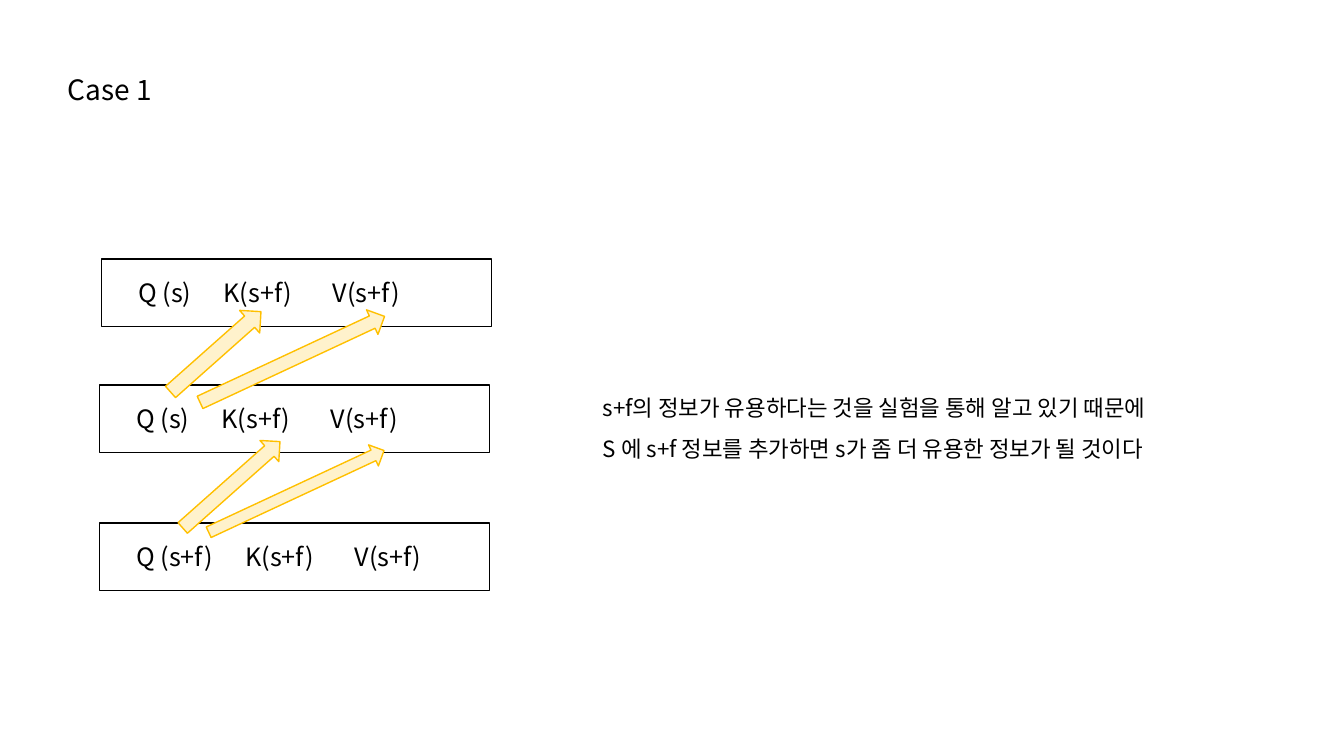
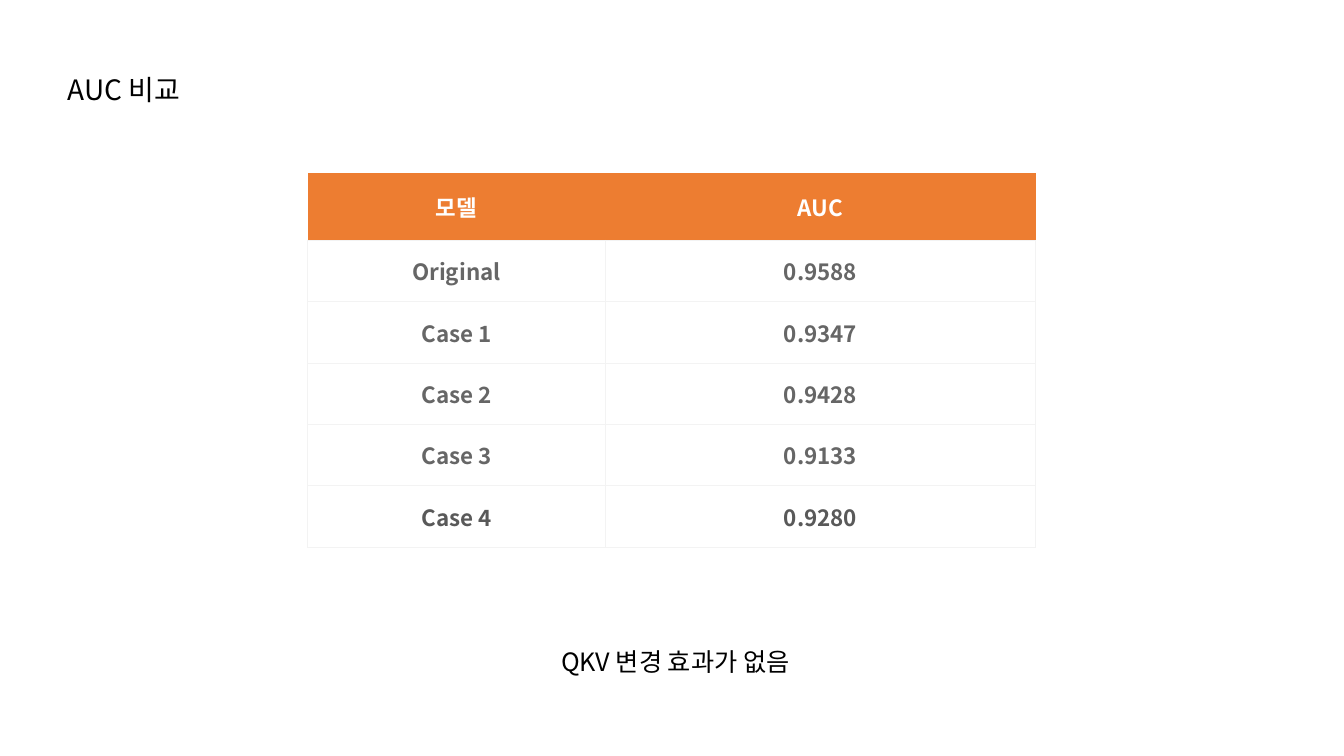
from lxml.etree import SubElement
from pptx import Presentation
from pptx.dml.color import RGBColor
from pptx.enum.shapes import MSO_SHAPE as SHAPE
from pptx.enum.text import MSO_ANCHOR as ANCHOR, MSO_AUTO_SIZE as AUTO, PP_ALIGN as ALIGN
from pptx.oxml.ns import qn
from pptx.util import Pt

FONT = "Noto Sans CJK KR"
BLACK = RGBColor(0x00, 0x00, 0x00)
WHITE = RGBColor(0xFF, 0xFF, 0xFF)
GRAY = RGBColor(0x66, 0x66, 0x66)
DARK_GRAY = RGBColor(0x59, 0x59, 0x59)
ORANGE = RGBColor(0xED, 0x7D, 0x31)
GOLD = RGBColor(0xFF, 0xC0, 0x00)
CREAM = RGBColor(0xFF, 0xF2, 0xCC)
BORDER = RGBColor(0xF3, 0xF3, 0xF3)

TITLE_BOX = (41, 48.2, 345, 31.7)
TITLE_ONLY = 5
FRAME = {"word_wrap": True, "auto_size": AUTO.NONE, "vertical_anchor": ANCHOR.TOP}


def apply(obj, formats):
    """Set each attribute named in formats on obj."""
    for name, value in formats.items():
        setattr(obj, name, value)


def points(box):
    """Turn a box of numbers into lengths."""
    return [Pt(n) for n in box]


def write(tf, lines, size, color=BLACK, bold=False, **para):
    """Fill a text frame with one formatted paragraph per line."""
    for i, line in enumerate(lines):
        p = tf.add_paragraph() if i else tf.paragraphs[0]
        apply(p, {"alignment": ALIGN.LEFT, **para})
        r = p.add_run()
        r.text = line
        apply(r.font, {"size": Pt(size), "name": FONT, "bold": bold})
        r.font.color.rgb = color
        SubElement(r.font._element, qn("a:ea"), typeface=FONT)


def add_tabs(p, stops):
    """Give a paragraph left tab stops, in points."""
    tabs = SubElement(p._p.get_or_add_pPr(), qn("a:tabLst"))
    for stop in stops:
        SubElement(tabs, qn("a:tab"), pos=str(Pt(stop)), algn="l")


def add_slide(prs, title):
    """Add a slide with the shared title style."""
    s = prs.slides.add_slide(prs.slide_layouts[TITLE_ONLY])
    sp = s.shapes.title
    apply(sp, dict(zip(("left", "top", "width", "height"), points(TITLE_BOX))))
    apply(sp.text_frame, FRAME)
    write(sp.text_frame, [title], 20)
    return s


def add_note(s, box, lines, size, **para):
    """Add a plain text box."""
    tf = s.shapes.add_textbox(*points(box)).text_frame
    apply(tf, FRAME)
    write(tf, lines, size, **para)


def add_outlined(s, kind, box, line, fill=None):
    """Add a preset shape with a 1 pt outline and an optional fill."""
    sp = s.shapes.add_shape(kind, *points(box))
    sp.shadow.inherit = False
    if fill is None:
        sp.fill.background()
    else:
        sp.fill.solid()
        sp.fill.fore_color.rgb = fill
    sp.line.color.rgb = line
    sp.line.width = Pt(1)
    return sp


def add_layer(s, box, query, stops):
    """Add one attention layer holding its query, key and value."""
    sp = add_outlined(s, SHAPE.RECTANGLE, box, BLACK)
    tf = sp.text_frame
    apply(tf, {**FRAME, "vertical_anchor": ANCHOR.MIDDLE, "margin_left": Pt(26)})
    write(tf, [f"{query}\tK(s+f)\tV(s+f)"], 18)
    add_tabs(tf.paragraphs[0], stops)


def add_layer_stack(s, box):
    """Stack three layers in the box and join them with upward arrows."""
    left, top, width, height = box
    layer_h = 48.2
    short, wide = (61, 139), (78, 156)
    layers = [(0, height - layer_h, "Q (s+f)", wide),
              (0, 90, "Q (s)", short),
              (1.4, 0, "Q (s)", short)]
    for dx, dy, query, stops in layers:
        add_layer(s, (left + dx, top + dy, width, layer_h), query, stops)

    to_key, to_value = 318.4, 335
    arrows = [(47.5, 151.2, 92.9, 20.2, to_key),
              (71.3, 157.7, 138.2, 16.6, to_value),
              (39.6, 55.5, 86.4, 21.6, to_key),
              (64.8, 62, 145.4, 19.4, to_value)]
    for dx, dy, w, h, angle in arrows:
        arrow = add_outlined(s, SHAPE.RIGHT_ARROW, (left + dx, top + dy, w, h), GOLD, CREAM)
        arrow.rotation = angle


def set_borders(cell, sides):
    """Draw the named sides of a cell and clear the others."""
    tc_pr = cell._tc.get_or_add_tcPr()
    for side in "LRTB":
        ln = SubElement(tc_pr, qn(f"a:ln{side}"), w=str(Pt(0.75)))
        if side in sides:
            fill = SubElement(ln, qn("a:solidFill"))
            SubElement(fill, qn("a:srgbClr"), val=str(BORDER))
        else:
            SubElement(ln, qn("a:noFill"))


def add_score_table(s, box, rows, col_widths, header_h):
    """Add a table with an orange header and equal body rows."""
    table = s.shapes.add_table(len(rows), len(col_widths), *points(box)).table
    table.horz_banding = False
    for col, w in zip(table.columns, col_widths):
        col.width = Pt(w)
    body_h = (box[3] - header_h) / (len(rows) - 1)
    margins = {f"margin_{side}": Pt(7.2) for side in ("left", "right", "top", "bottom")}
    last = len(rows) - 1
    for i, row in enumerate(rows):
        table.rows[i].height = Pt(body_h if i else header_h)
        color = WHITE if i == 0 else DARK_GRAY if i == last else GRAY
        for j, text in enumerate(row):
            cell = table.cell(i, j)
            set_borders(cell, "LRTB" if i else "B")
            cell.fill.solid()
            cell.fill.fore_color.rgb = WHITE if i else ORANGE
            apply(cell, {**margins, "vertical_anchor": ANCHOR.MIDDLE})
            write(cell.text_frame, [text], 16, color, True, alignment=ALIGN.CENTER)


def case_slide(prs):
    """Build the slide that explains case 1."""
    s = add_slide(prs, "Case 1")
    add_layer_stack(s, (71.3, 185, 278.6, 236.9))
    add_note(s, (423.4, 268.6, 536.4, 61.9),
             ["s+f의 정보가 유용하다는 것을 실험을 통해 알고 있기 때문에",
              "S 에 s+f 정보를 추가하면 s가 좀 더 유용한 정보가 될 것이다"],
             16, line_spacing=1.5)


def auc_slide(prs):
    """Build the slide that compares AUC scores."""
    s = add_slide(prs, "AUC 비교")
    rows = [("모델", "AUC"), ("Original", "0.9588"), ("Case 1", "0.9347"),
            ("Case 2", "0.9428"), ("Case 3", "0.9133"), ("Case 4", "0.9280")]
    add_score_table(s, (219.8, 123.6, 520, 267.4), rows, (212.5, 307.5), 48)
    add_note(s, (393.8, 457.9, 321.8, 28.8), ["QKV 변경 효과가 없음"], 18)


prs = Presentation()
prs.slide_width, prs.slide_height = Pt(960), Pt(540)
case_slide(prs)
auc_slide(prs)
prs.save("out.pptx")
